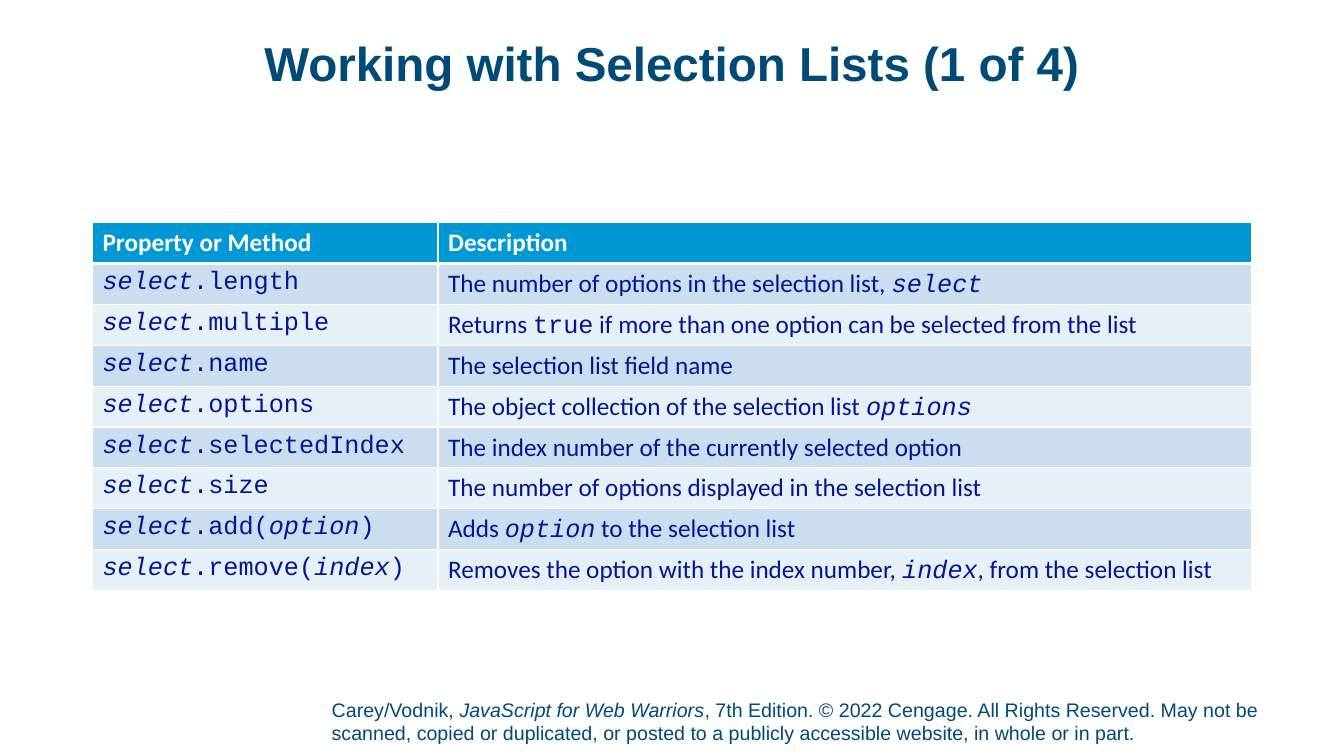
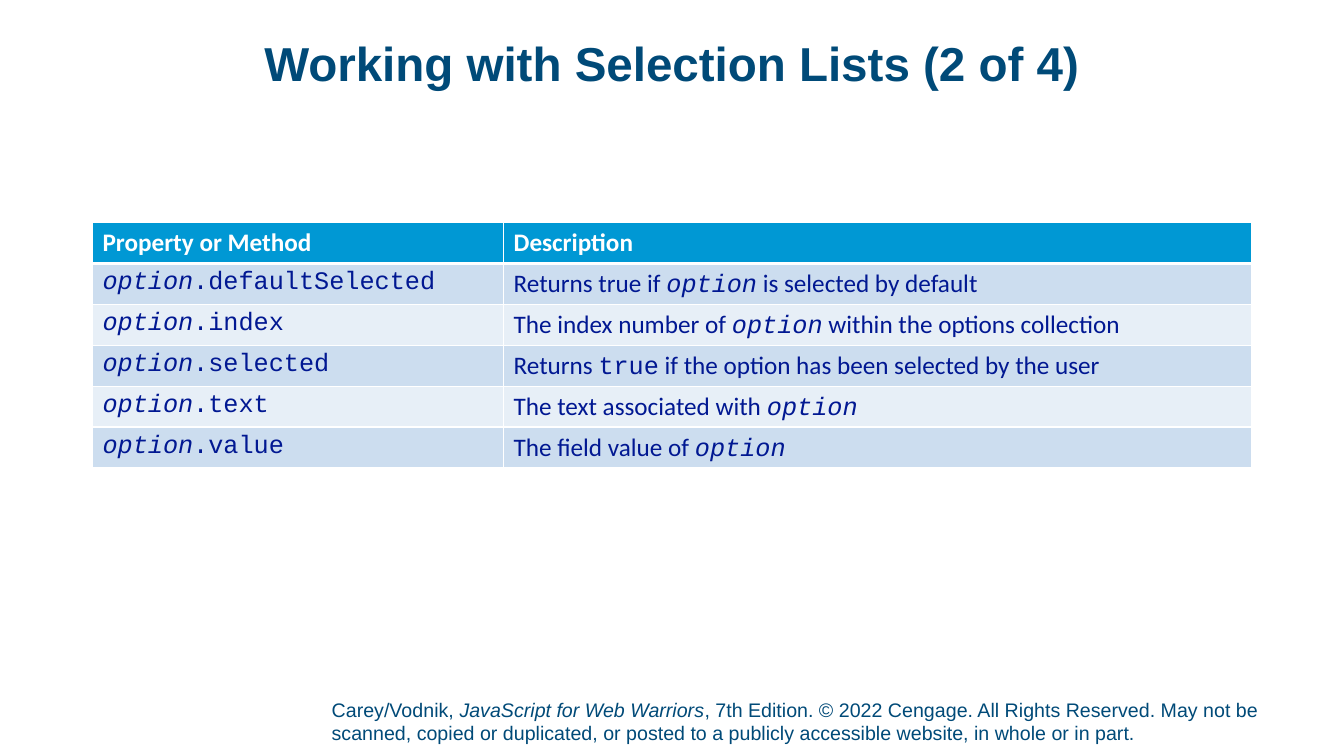
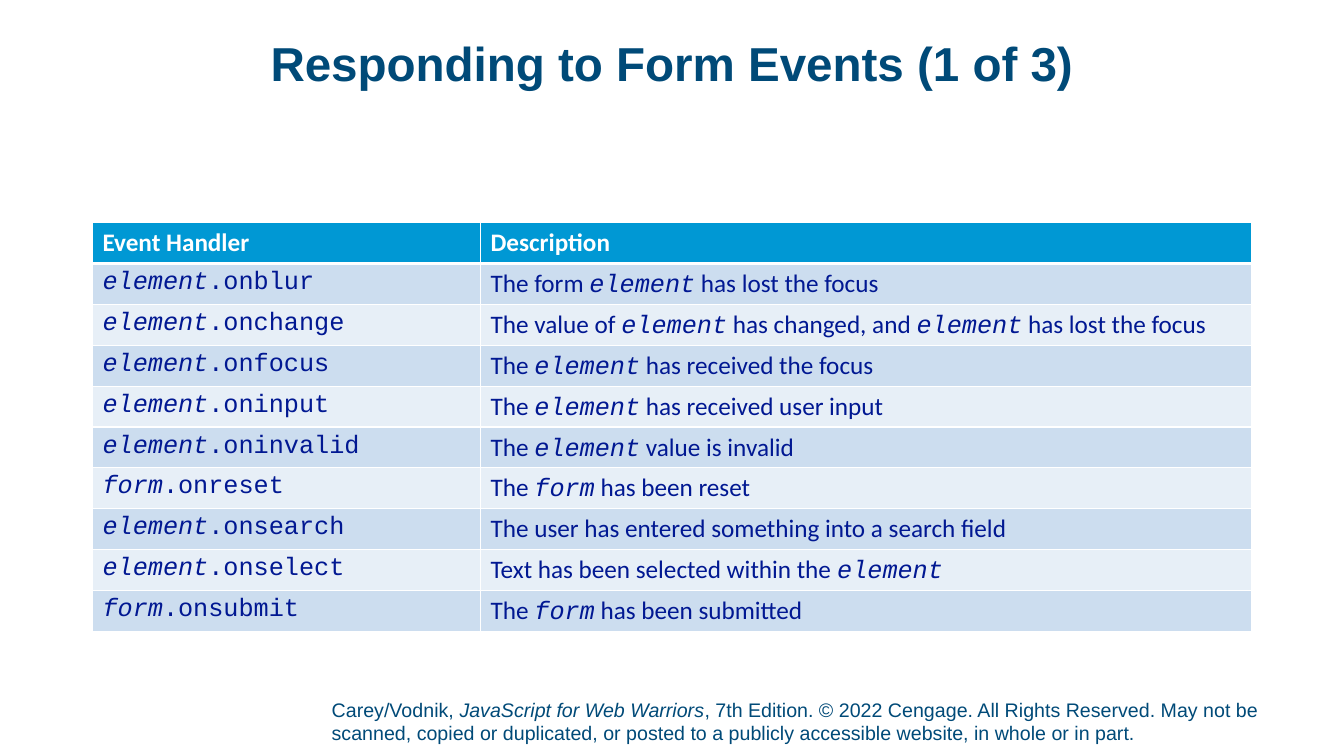
from lxml import etree
from pptx import Presentation
from pptx.dml.color import RGBColor
from pptx.enum.text import MSO_ANCHOR, PP_ALIGN
from pptx.oxml.ns import qn
from pptx.util import Cm, Pt

TOP = MSO_ANCHOR.TOP
BOTTOM = MSO_ANCHOR.BOTTOM
LEFT = PP_ALIGN.LEFT
CENTER = PP_ALIGN.CENTER

ARIAL = "Arial"
CALIBRI = "Calibri"
MONO = "Courier New"

NAVY = "004A78"
INK = "011892"
HEADER = "0098D4"
BANDS = ("E7EFF7", "CCDDEF")
WHITE = "FFFFFF"

CONTENT_LEFT = 2.33
CONTENT_WIDTH = 29.21
TABLE_TOP = 5.61
ROW_HEIGHT = 1.03

FOOTER = (
    "Carey/Vodnik, *JavaScript for Web Warriors*, 7th Edition. © 2022 Cengage. "
    "All Rights Reserved. May not be scanned, copied or duplicated, or posted to "
    "a publicly accessible website, in whole or in part."
)

SLIDES = [
    ("Working with Selection Lists (1 of 4)", 8.71, [
        ("Property or Method", "Description"),
        ("*select*.length", "The number of options in the selection list, *select*"),
        ("*select*.multiple",
         "Returns `true` if more than one option can be selected from the list"),
        ("*select*.name", "The selection list field name"),
        ("*select*.options", "The object collection of the selection list *options*"),
        ("*select*.selectedIndex", "The index number of the currently selected option"),
        ("*select*.size", "The number of options displayed in the selection list"),
        ("*select*.add(*option*)", "Adds *option* to the selection list"),
        ("*select*.remove(*index*)",
         "Removes the option with the index number, *index*, from the selection list"),
    ]),
    ("Working with Selection Lists (2 of 4)", 10.36, [
        ("Property or Method", "Description"),
        ("*option*.defaultSelected", "Returns true if *option* is selected by default"),
        ("*option*.index", "The index number of *option* within the options collection"),
        ("*option*.selected",
         "Returns `true` if the option has been selected by the user"),
        ("*option*.text", "The text associated with *option*"),
        ("*option*.value", "The field value of *option*"),
    ]),
    ("Responding to Form Events (1 of 3)", 9.78, [
        ("Event Handler", "Description"),
        ("*element*.onblur", "The form *element* has lost the focus"),
        ("*element*.onchange",
         "The value of *element* has changed, and *element* has lost the focus"),
        ("*element*.onfocus", "The *element* has received the focus"),
        ("*element*.oninput", "The *element* has received user input"),
        ("*element*.oninvalid", "The *element* value is invalid"),
        ("*form*.onreset", "The *form* has been reset"),
        ("*element*.onsearch", "The user has entered something into a search field"),
        ("*element*.onselect", "Text has been selected within the *element*"),
        ("*form*.onsubmit", "The *form* has been submitted"),
    ]),
]


def color(value):
    return RGBColor.from_string(value)


class Deck:
    """Build slides in one style, where *text* is italic and `text` is code."""

    def __init__(self):
        self.presentation = Presentation()
        self.presentation.slide_width = Cm(33.87)
        self.presentation.slide_height = Cm(19.05)
        self.slide = None

    def new_slide(self, title):
        self.slide = self.presentation.slides.add_slide(
            self.presentation.slide_layouts[6])
        self.text(FOOTER, 8.36, 17.58, 24.87, 1.32, 14, anchor=BOTTOM, bottom=0.13)
        self.text(title, CONTENT_LEFT, 1.02, CONTENT_WIDTH, 1.88, 34,
                  bold=True, align=CENTER, spacing=0.9)

    def text(self, text, left, top, width, height, size, bold=False,
             align=LEFT, anchor=TOP, bottom=0, spacing=1.0):
        box = self.slide.shapes.add_textbox(Cm(left), Cm(top), Cm(width), Cm(height))
        frame = box.text_frame
        frame.word_wrap = True
        frame.vertical_anchor = anchor
        frame.margin_left = frame.margin_top = frame.margin_right = 0
        frame.margin_bottom = Cm(bottom)
        paragraph = frame.paragraphs[0]
        paragraph.alignment = align
        paragraph.line_spacing = spacing
        self.add_runs(paragraph, text, size, NAVY, ARIAL, ARIAL, bold)

    def add_runs(self, paragraph, text, size, ink, font, italic_font, bold=False):
        for index, part in enumerate(text.split("*")):
            italic = index % 2 == 1
            for position, piece in enumerate(part.split("`")):
                if not piece:
                    continue
                run = paragraph.add_run()
                run.text = piece
                run.font.size = Pt(size)
                run.font.bold = bold
                run.font.italic = italic
                run.font.color.rgb = color(ink)
                run.font.name = MONO if position % 2 else italic_font if italic else font

    def table(self, rows, first_width):
        table = self.slide.shapes.add_table(
            len(rows), 2, Cm(CONTENT_LEFT), Cm(TABLE_TOP),
            Cm(CONTENT_WIDTH), Cm(ROW_HEIGHT * len(rows))).table
        table.columns[0].width = Cm(first_width)
        table.columns[1].width = Cm(CONTENT_WIDTH - first_width)
        for row_index, row in enumerate(rows):
            table.rows[row_index].height = Cm(ROW_HEIGHT)
            is_header = row_index == 0
            fill = HEADER if is_header else BANDS[row_index % 2]
            for column_index, text in enumerate(row):
                cell = table.cell(row_index, column_index)
                self.borders(cell, top=3 if row_index == 1 else 1,
                             bottom=3 if is_header else 1)
                cell.fill.solid()
                cell.fill.fore_color.rgb = color(fill)
                is_code = column_index == 0 and not is_header
                self.add_runs(cell.text_frame.paragraphs[0], text, 18,
                              WHITE if is_header else INK,
                              MONO if is_code else CALIBRI, MONO, is_header)

    def borders(self, cell, top, bottom):
        properties = cell._tc.get_or_add_tcPr()
        for side, width in (("L", 1), ("R", 1), ("T", top), ("B", bottom)):
            line = etree.SubElement(properties, qn(f"a:ln{side}"), w=str(Pt(width)))
            solid = etree.SubElement(line, qn("a:solidFill"))
            etree.SubElement(solid, qn("a:srgbClr"), val=WHITE)


def main():
    deck = Deck()
    for title, first_width, rows in SLIDES:
        deck.new_slide(title)
        deck.table(rows, first_width)
    deck.presentation.save("out.pptx")


if __name__ == "__main__":
    main()
